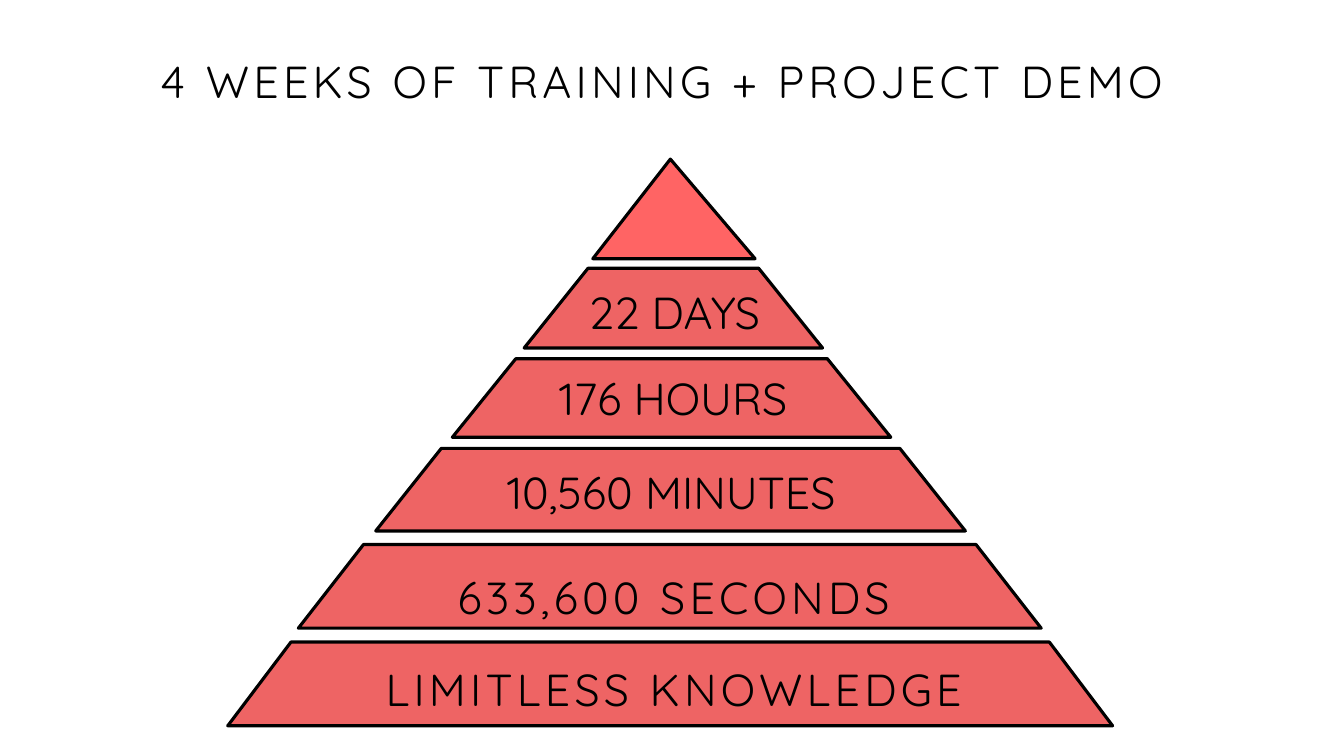
"""Build a pyramid slide that counts four weeks of training."""
import pptx
import pptx.util
import pptx.dml.color
import pptx.enum.shapes
import pptx.enum.text

Cm, Pt = pptx.util.Cm, pptx.util.Pt
RGBColor = pptx.dml.color.RGBColor
MSO_SHAPE = pptx.enum.shapes.MSO_SHAPE

BLACK = RGBColor(0x00, 0x00, 0x00)
WHITE = RGBColor(0xFF, 0xFF, 0xFF)
CORAL = RGBColor(0xFF, 0x64, 0x64)
RED = RGBColor(0xEE, 0x64, 0x64)

SLIDE_SIZE = (33.87, 19.05)
TITLE = "4 WEEKS OF TRAINING + PROJECT DEMO"
TITLE_BOX = (0, 0.61, 33.87, 4.27)
TIP = ((14.94, 4.01, 4.09, 2.51), 0.478)
WIDE = dict(spacing=3, line_spacing=1.1)
LEVELS = [
    ("22 DAYS", (13.21, 6.76, 7.52, 2.01), 0.801, (13.92, 7.04, 6.15, 1.62), {}),
    ("176 HOURS", (11.4, 9.04, 11.05, 1.98), 0.808, (13.21, 9.22, 7.52, 1.62), {}),
    ("10,560 MINUTES", (9.47, 11.3, 14.86, 2.08), 0.794, (11.4, 11.58, 11.05, 1.62), {}),
    ("633,600 SECONDS", (7.52, 13.72, 18.72, 2.11), 0.779, (4.55, 13.21, 24.87, 3.5), WIDE),
    ("LIMITLESS KNOWLEDGE", (5.74, 16.18, 22.3, 2.11), 0.755, (4.55, 15.54, 24.87, 3.5), WIDE),
]


def lengths(box):
    """Turn centimetres into slide lengths."""
    return [Cm(v) for v in box]


def write(sp, text, size=32, color=BLACK, spacing=0, line_spacing=1.0, right=0, bottom=0):
    """Put one centred line of text into a shape."""
    tf = sp.text_frame
    tf.word_wrap = True
    tf.auto_size = pptx.enum.text.MSO_AUTO_SIZE.NONE
    tf.vertical_anchor = pptx.enum.text.MSO_ANCHOR.MIDDLE
    tf.margin_left = tf.margin_top = 0
    tf.margin_right, tf.margin_bottom = Cm(right), Cm(bottom)
    p = tf.paragraphs[0]
    p.alignment = pptx.enum.text.PP_ALIGN.CENTER
    p.line_spacing = line_spacing
    r = p.add_run()
    r.text = text
    r.font.name = "Quicksand"
    r.font.size = Pt(size)
    r.font.color.rgb = color
    if spacing:
        r.font._element.set("spc", str(spacing * 100))


def add_band(s, kind, box, slant, fill):
    """Add one outlined layer of the pyramid."""
    sp = s.shapes.add_shape(kind, *lengths(box))
    sp.adjustments[0] = slant
    sp.shadow.inherit = False
    sp.fill.solid()
    sp.fill.fore_color.rgb = fill
    sp.line.color.rgb = BLACK
    sp.line.width = Pt(2.25)


def main():
    """Build and save the slide."""
    prs = pptx.Presentation()
    prs.slide_width, prs.slide_height = lengths(SLIDE_SIZE)
    s = prs.slides.add_slide(prs.slide_layouts[5])
    s.background.fill.solid()
    s.background.fill.fore_color.rgb = WHITE

    title = s.shapes.title
    title.left, title.top, title.width, title.height = lengths(TITLE_BOX)
    write(title, TITLE, right=0.5, bottom=1.55, **WIDE)

    add_band(s, MSO_SHAPE.ISOSCELES_TRIANGLE, *TIP, CORAL)
    for text, band, slant, label, style in LEVELS:
        add_band(s, MSO_SHAPE.TRAPEZOID, band, slant, RED)
        write(s.shapes.add_textbox(*lengths(label)), text, **style)

    prs.save("out.pptx")


if __name__ == "__main__":
    main()
